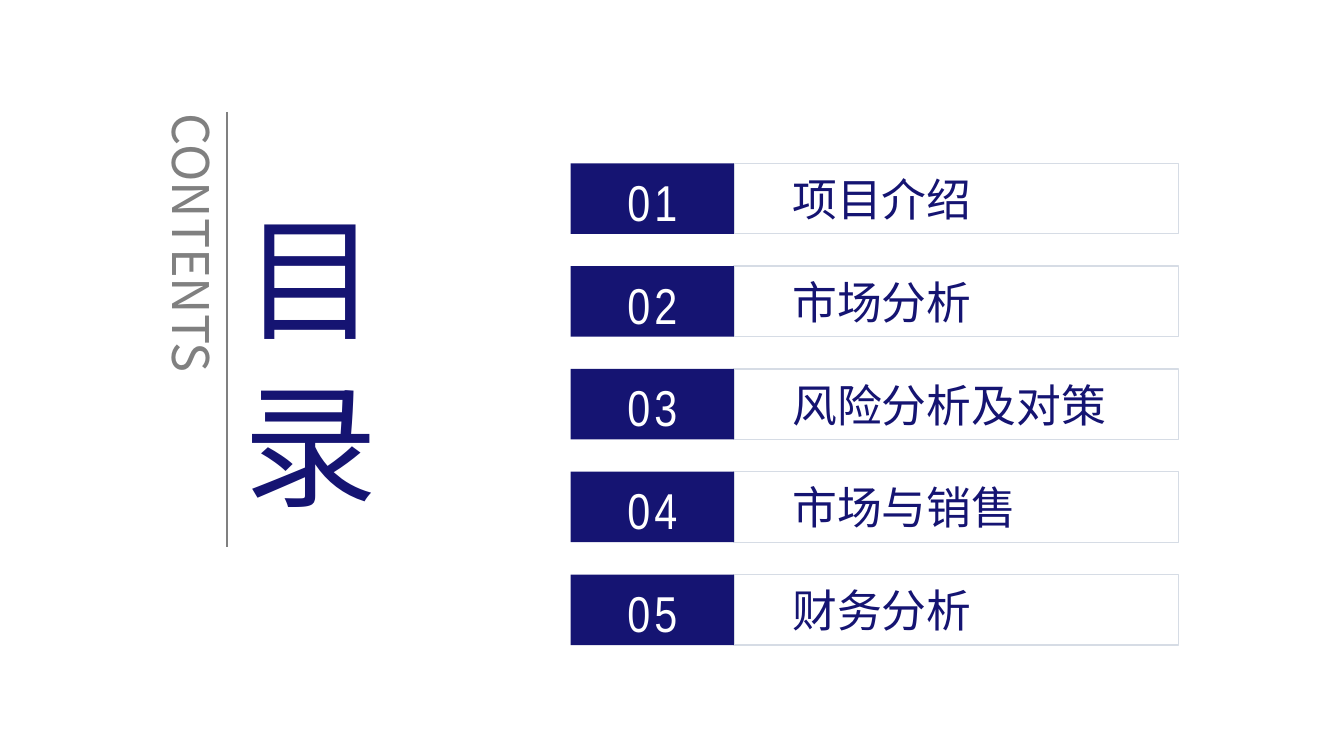
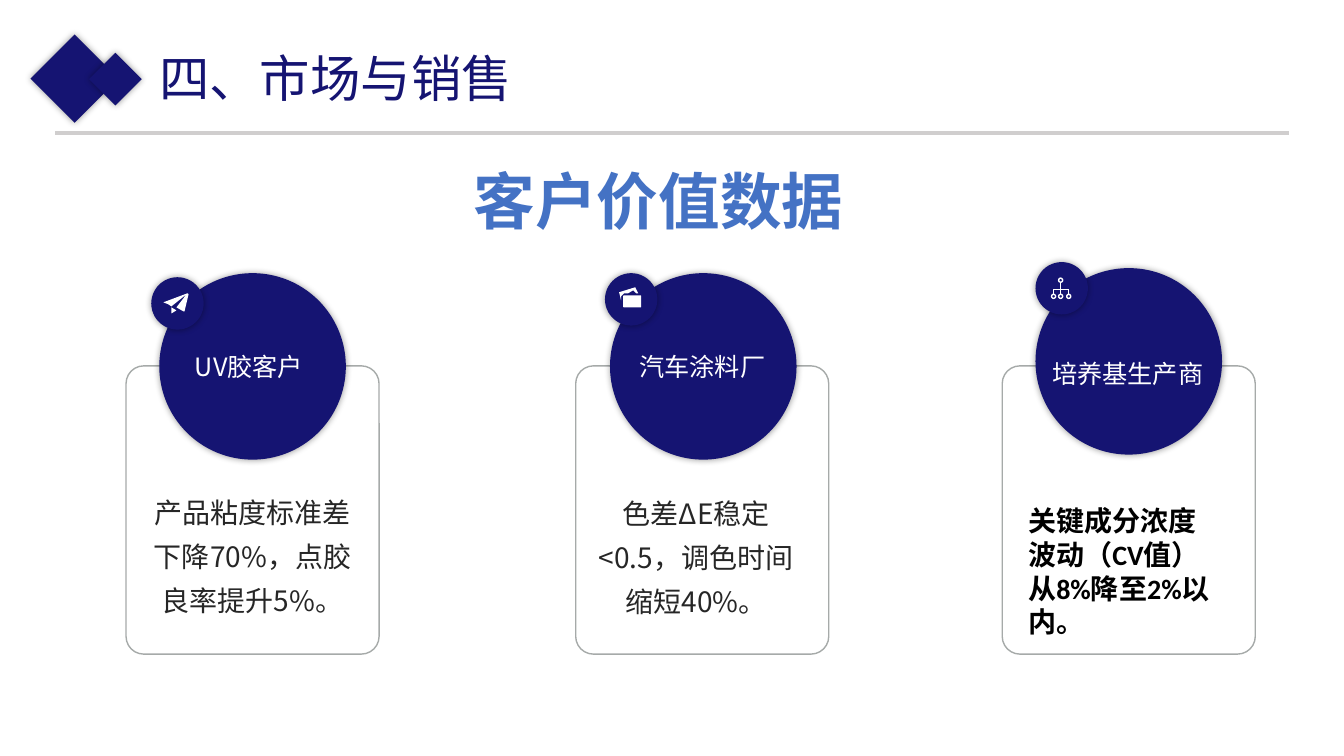
from dataclasses import dataclass

from lxml import etree
from pptx import Presentation
from pptx.dml.color import RGBColor
from pptx.enum.shapes import MSO_CONNECTOR, MSO_SHAPE
from pptx.enum.text import MSO_ANCHOR, PP_ALIGN
from pptx.oxml.ns import qn
from pptx.util import Pt

PX = 9144
RECT, ROUND, OVAL = MSO_SHAPE.RECTANGLE, MSO_SHAPE.ROUNDED_RECTANGLE, MSO_SHAPE.OVAL
STRAIGHT = MSO_CONNECTOR.STRAIGHT
MIDDLE = MSO_ANCHOR.MIDDLE
LEFT, CENTER = PP_ALIGN.LEFT, PP_ALIGN.CENTER


@dataclass(frozen=True)
class Theme:
    navy: str = "151472"
    white: str = "FFFFFF"
    black: str = "000000"
    ink: str = "262626"
    gray: str = "808080"
    rule: str = "D0CECE"
    row_line: str = "D6DCE5"
    card_line: str = "A6AAA9"
    accent: str = "4472C4"
    cjk: str = "Noto Sans CJK JP"
    body: str = "Noto Sans CJK SC"
    number: str = "Arial Narrow"
    strong: str = "Calibri"
    huge: int = 96
    heading: int = 44
    title: int = 36
    item: int = 32
    text: int = 20
    label: int = 18


T = Theme()

SECTIONS = ["项目介绍", "市场分析", "风险分析及对策", "市场与销售", "财务分析"]
ROW_TOP, ROW_PITCH, ROW_H = 162, 102, 70
NUMBER_X, NUMBER_W, ROW_X, ROW_W = 566, 162, 728, 441

TITLE = "四、市场与销售"
HEADING = "客户价值数据"
DIAMONDS = [(43, 47, 62), (96, 60, 37)]
CARD_TOP, CARD_W, CARD_H = 363, 251, 286
CIRCLE, BADGE = 185, 52
LIGHT = dict(font=T.body, color=T.ink, align=CENTER, spacing=31.5)
BOLD = dict(font=T.strong, color=T.black, bold=True, spacing=24)
CARDS = [
    dict(x=125, circle=(158, 271), badge=(150, 275), label="UV胶客户",
         label_box=(154, 332, 186, 63), text="产品粘度标准差下降70%，点胶良率提升5%。",
         text_box=(138, 485, 225, 124), style=LIGHT, margins=(10, 5, 10, 5)),
    dict(x=571, circle=(605, 271), badge=(600, 271), label="汽车涂料厂",
         label_box=(610, 332, 173, 63), text="色差ΔE稳定<0.5，调色时间缩短40%。",
         text_box=(591, 486, 199, 124), style=LIGHT, margins=(0, 0, 0, 0)),
    dict(x=994, circle=(1027, 266), badge=(1027, 260), label="培养基生产商",
         label_box=(1032, 339, 173, 63), text="关键成分浓度波动（CV值）从8%降至2%以内。",
         text_box=(1010, 494, 214, 145), style=BOLD, margins=(10, 5, 10, 5)),
]

PLANE = [
    [(170, 311), (175, 308), (170, 305)],
    [(186, 291), (162, 300), (167, 302), (170, 304), (185, 292),
     (175, 305), (182, 309), (183, 309), (187, 292)],
]
FOLDER_BACK = [[(633, 291), (630, 285), (614, 290), (616, 298), (616, 294),
                (619, 291), (623, 291), (628, 288), (631, 291)]]
FOLDER_FRONT = (618, 293, 18, 12)
TREE_NODES = [(1052, 278), (1045, 294), (1052, 294), (1060, 294)]
TREE_LINES = [(1052, 280, 1052, 292), (1045, 287, 1060, 287),
              (1045, 287, 1045, 292), (1060, 287, 1060, 292)]


def rgb(color):
    return RGBColor.from_string(color)


def px(*values):
    return [v * PX for v in values]


def paint(sp, fill=None, line=None, width=1, glow=False):
    sp.shadow.inherit = False
    if fill:
        sp.fill.solid()
        sp.fill.fore_color.rgb = rgb(fill)
    else:
        sp.fill.background()
    if line:
        sp.line.color.rgb = rgb(line)
        sp.line.width = Pt(width)
    else:
        sp.line.fill.background()
    if glow:
        effects = sp._element.spPr.find(qn("a:effectLst"))
        shadow = etree.SubElement(effects, qn("a:outerShdw"), blurRad=str(Pt(5)), dist="0",
                                  dir="0", algn="ctr", rotWithShape="0")
        color = etree.SubElement(shadow, qn("a:srgbClr"), val=T.black)
        etree.SubElement(color, qn("a:alpha"), val="40000")
    return sp


def add_box(s, kind, box, **look):
    return paint(s.shapes.add_shape(kind, *px(*box)), **look)


def add_line(s, ends, color, width):
    c = s.shapes.add_connector(STRAIGHT, *px(*ends))
    c.line.color.rgb = rgb(color)
    c.line.width = Pt(width)
    etree.SubElement(c._element.spPr, qn("a:effectLst"))


def add_outline(s, contours, color):
    fb = None
    for first, *rest in contours:
        if fb is None:
            fb = s.shapes.build_freeform(*first, scale=PX)
        else:
            fb.move_to(*first)
        fb.add_line_segments(rest, close=True)
    return paint(fb.convert_to_shape(), fill=color)


def write(sp, text, size, font=T.cjk, color=T.navy, align=LEFT, bold=False,
          spacing=None, tracking=None, margins=(10, 5, 10, 5), vertical=False):
    tf = sp.text_frame
    tf.word_wrap = True
    tf.vertical_anchor = MIDDLE
    tf.margin_left, tf.margin_top, tf.margin_right, tf.margin_bottom = px(*margins)
    if vertical:
        tf._txBody.bodyPr.set("vert", "eaVert")
    p = tf.paragraphs[0]
    p.alignment = align
    if spacing:
        p.line_spacing = Pt(spacing)
    r = p.add_run()
    r.text = text
    r.font.name = font
    r.font.size = Pt(size)
    r.font.bold = bold
    r.font.color.rgb = rgb(color)
    props = r.font._element
    etree.SubElement(props, qn("a:ea"), typeface=font)
    if tracking:
        props.set("spc", str(tracking * 100))


def add_text(s, box, text, size, **style):
    write(s.shapes.add_textbox(*px(*box)), text, size, **style)


def contents_slide(s):
    add_text(s, (212, 200, 182, 347), "目 录", T.huge, vertical=True)
    add_text(s, (151, 103, 81, 300), "CONTENTS", T.title, font=T.body,
             color=T.gray, vertical=True)
    add_line(s, (225, 111, 225, 543), T.gray, 1.5)
    for i, section in enumerate(SECTIONS):
        y = ROW_TOP + i * ROW_PITCH
        add_box(s, RECT, (ROW_X, y, ROW_W, ROW_H), line=T.row_line)
        number = add_box(s, RECT, (NUMBER_X, y, NUMBER_W, ROW_H), fill=T.navy)
        write(number, f"{i + 1:02}", T.title, font=T.number, color=T.white,
              align=CENTER, tracking=3, margins=(10, 5, 10, 0))
        add_text(s, (ROW_X + 48, y + 3, 380, 64), section, T.item)


def add_title(s, title):
    add_line(s, (55, 132, 1278, 132), T.rule, 2.25)
    for x, y, side in DIAMONDS:
        add_box(s, RECT, (x, y, side, side), fill=T.navy, glow=True).rotation = 315
    add_text(s, (148, 41, 621, 71), title, T.title)


def add_icons(s):
    add_outline(s, PLANE, T.white)
    add_outline(s, FOLDER_BACK, T.white)
    add_box(s, ROUND, FOLDER_FRONT, fill=T.white).adjustments[0] = 0.08
    for ends in TREE_LINES:
        add_line(s, ends, T.white, 1)
    for x, y in TREE_NODES:
        add_box(s, OVAL, (x - 2, y - 2, 4, 4), fill=T.navy, line=T.white)


def customers_slide(s):
    add_title(s, TITLE)
    add_text(s, (460, 155, 506, 86), HEADING, T.heading, font=T.strong,
             color=T.accent, bold=True)
    for card in CARDS:
        frame = add_box(s, ROUND, (card["x"], CARD_TOP, CARD_W, CARD_H), line=T.card_line)
        frame.adjustments[0] = 0.07
        for key, side in (("circle", CIRCLE), ("badge", BADGE)):
            add_box(s, OVAL, (*card[key], side, side), fill=T.navy, glow=True)
        add_text(s, card["label_box"], card["label"], T.label, color=T.white,
                 align=CENTER, margins=card["margins"])
        add_text(s, card["text_box"], card["text"], T.text,
                 margins=card["margins"], **card["style"])
    add_icons(s)


def main():
    prs = Presentation()
    prs.slide_width, prs.slide_height = px(1333, 750)
    for build in (contents_slide, customers_slide):
        build(prs.slides.add_slide(prs.slide_layouts[6]))
    prs.save("out.pptx")


if __name__ == "__main__":
    main()
